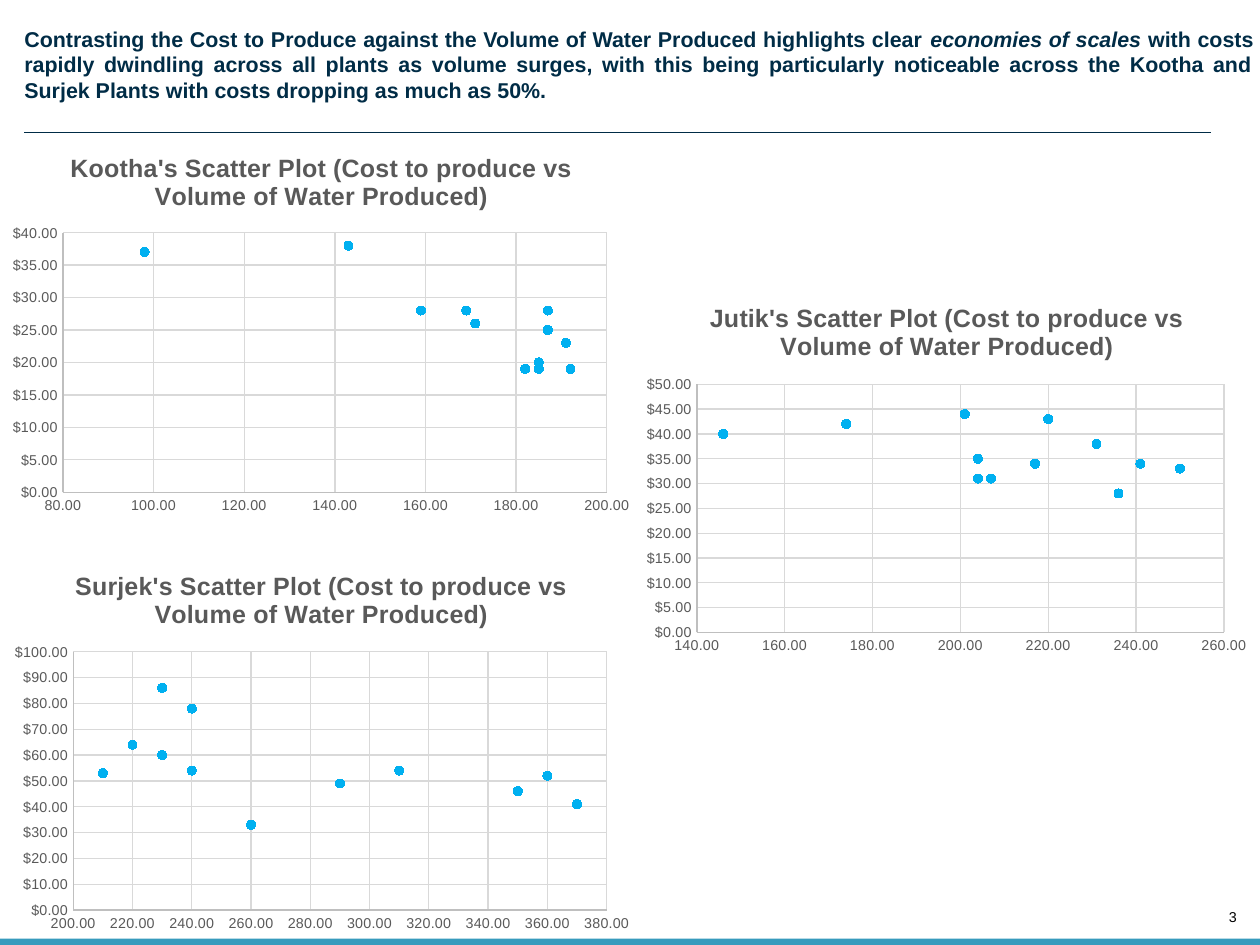
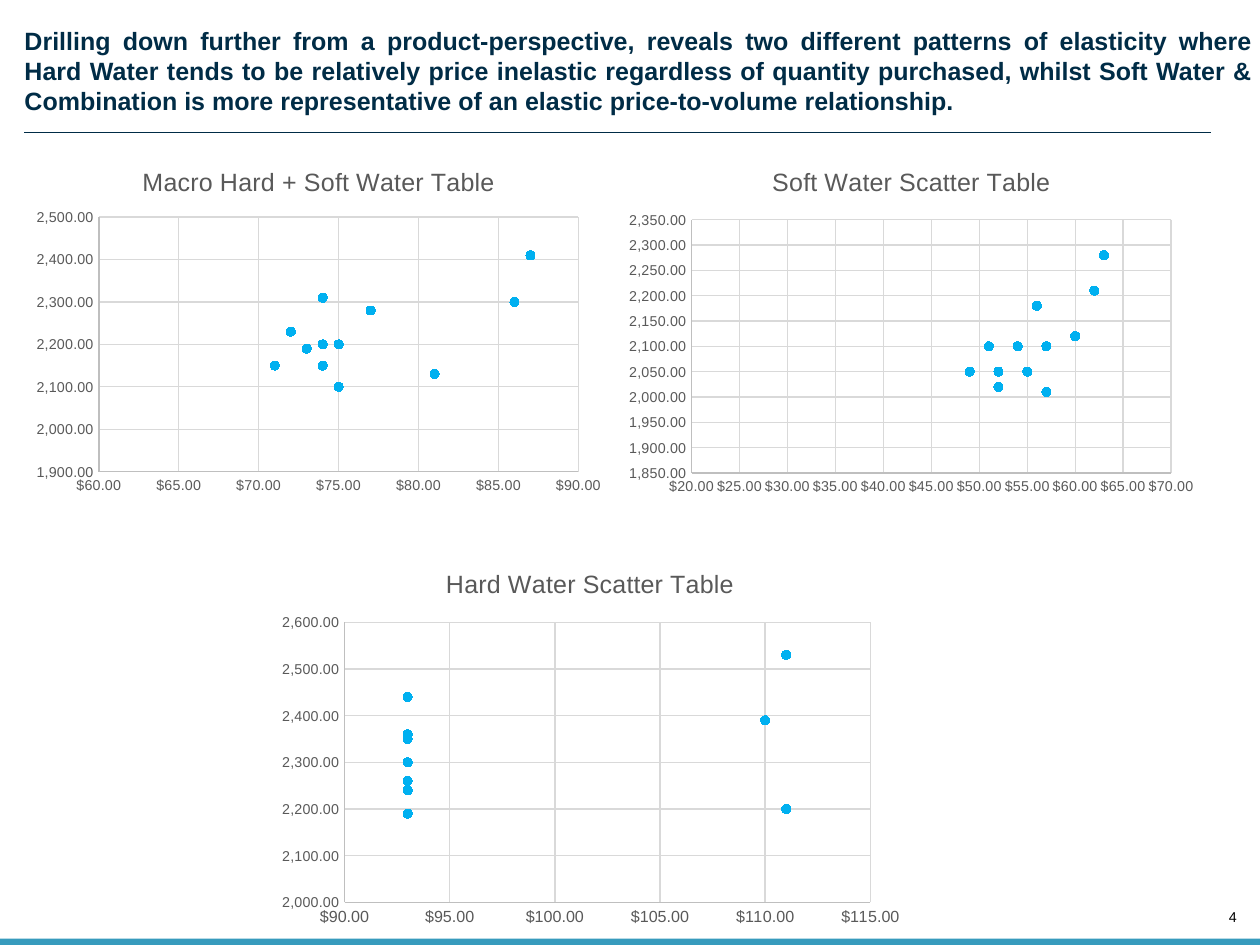
from lxml import etree
from pptx import Presentation
from pptx.chart.data import XyChartData
from pptx.dml.color import RGBColor
from pptx.enum.chart import XL_AXIS_CROSSES as Crosses, XL_CHART_TYPE as ChartType
from pptx.enum.chart import XL_MARKER_STYLE as Marker, XL_TICK_MARK as Tick
from pptx.enum.shapes import MSO_CONNECTOR as Connector, MSO_SHAPE as Shape
from pptx.enum.text import MSO_ANCHOR as Anchor, MSO_AUTO_SIZE as AutoSize, PP_ALIGN as Align
from pptx.oxml.ns import qn
from pptx.util import Inches, Pt

FONT = "Arial"
NAVY, TEAL, BLUE = "002C46", "379BBD", "00B0F0"
BLACK, GREY, AXIS, GRID = "000000", "595959", "BFBFBF", "D9D9D9"
WIDTH, HEIGHT = 9.8, 7.35
MONEY, NUMBER = "$#,##0.00", "#,##0.00"


def color(value):
    return RGBColor.from_string(value)


def set_font(font, size, fill, bold=False, italic=False):
    font.name, font.size = FONT, Pt(size)
    font.bold, font.italic = bold, italic
    font.color.rgb = color(fill)


def set_line(line, fill):
    line.color.rgb = color(fill)
    line.width = Pt(0.75)


def write(tf, runs, size, fill, align, anchor=Anchor.TOP, wrap=True, bold=False):
    tf.margin_left = tf.margin_right = tf.margin_top = tf.margin_bottom = 0
    tf.auto_size = AutoSize.NONE
    tf.word_wrap, tf.vertical_anchor = wrap, anchor
    p = tf.paragraphs[0]
    p.alignment = align
    for text, italic in runs:
        for i, part in enumerate(text.split("\n")):
            if i:
                p.add_line_break()
            r = p.add_run()
            r.text = part
            set_font(r.font, size, fill, bold, italic)


def add_header(s, runs, size, box):
    title = s.shapes.title
    title.left, title.top, title.width, title.height = map(Inches, box)
    write(title.text_frame, runs, size, NAVY, Align.JUSTIFY, bold=True)
    x, y = box[0], 1.03
    rule = s.shapes.add_connector(
        Connector.STRAIGHT, Inches(x), Inches(y), Inches(x + 9.23), Inches(y))
    set_line(rule.line, NAVY)
    etree.SubElement(rule._element.spPr, qn("a:effectLst"))


def add_footer(s, number):
    bar = s.shapes.add_shape(
        Shape.RECTANGLE, 0, Inches(HEIGHT - 0.05), Inches(WIDTH), Inches(0.05))
    bar.shadow.inherit = False
    bar.fill.solid()
    bar.fill.fore_color.rgb = color(TEAL)
    bar.line.fill.background()
    box = s.shapes.add_textbox(
        Inches(WIDTH - 0.32), Inches(HEIGHT - 0.28), Inches(0.14), Inches(0.13))
    write(box.text_frame, [(str(number), False)], 8, BLACK, Align.RIGHT, Anchor.BOTTOM, wrap=False)


def format_axis(axis, scale, number_format, size=8):
    axis.minimum_scale, axis.maximum_scale, axis.major_unit = scale
    axis.crosses = Crosses.MINIMUM
    axis.major_tick_mark = axis.minor_tick_mark = Tick.NONE
    axis.has_major_gridlines = True
    set_line(axis.major_gridlines.format.line, GRID)
    set_line(axis.format.line, AXIS)
    set_font(axis.tick_labels.font, size, GREY)
    axis.tick_labels.number_format = number_format
    axis.tick_labels.number_format_is_linked = False


def place_plot(chart, box, plot):
    area = chart._chartSpace.chart.plotArea
    for old in area.findall(qn("c:layout")):
        area.remove(old)
    layout = etree.Element(qn("c:layout"))
    area.insert(0, layout)
    manual = etree.SubElement(layout, qn("c:manualLayout"))
    x, y, w, h = box
    values = {
        "layoutTarget": "inner", "xMode": "edge", "yMode": "edge",
        "x": (plot[0] - x) / w, "y": (plot[1] - y) / h,
        "w": plot[2] / w, "h": plot[3] / h,
    }
    for name, value in values.items():
        etree.SubElement(manual, qn("c:" + name)).set("val", str(value))


def add_scatter(s, title, box, plot, x_scale, y_scale, points,
                x_format, y_format, bold=False, x_size=8):
    data = XyChartData()
    series = data.add_series(title)
    for x, y in points:
        series.add_data_point(x, y)
    chart = s.shapes.add_chart(ChartType.XY_SCATTER, *map(Inches, box), data).chart
    set_font(chart.font, 10, BLACK)
    chart.has_legend = False
    chart.has_title = True
    r = chart.chart_title.text_frame.paragraphs[0].add_run()
    r.text = title
    set_font(r.font, 14, GREY, bold)
    chart.chart_title.include_in_layout = False
    format_axis(chart.category_axis, x_scale, x_format, x_size)
    format_axis(chart.value_axis, y_scale, y_format)
    chart.plots[0].vary_by_categories = False
    ser = chart.plots[0].series[0]
    ser.smooth = False
    ser.format.line.fill.background()
    ser.marker.style, ser.marker.size = Marker.CIRCLE, 5
    ser.marker.format.fill.solid()
    ser.marker.format.fill.fore_color.rgb = color(BLUE)
    set_line(ser.marker.format.line, BLUE)
    place_plot(chart, box, plot)


def add_slide(prs, number, runs, size, height, charts, **formats):
    s = prs.slides.add_slide(prs.slide_layouts[5])
    add_footer(s, number)
    add_header(s, runs, size, (0.19, 0.2, 9.56, height))
    for chart in charts:
        add_scatter(s, **chart, **formats)


def plant_title(plant):
    return f"{plant}'s Scatter Plot (Cost to produce vs Volume of Water Produced)"


PLANT_HEADING = [
    ("Contrasting the Cost to Produce against the Volume of Water Produced highlights clear ", False),
    ("economies of scales ", True),
    ("with costs rapidly dwindling across all plants as volume surges, with this being particularly "
     "noticeable across the Kootha and Surjek Plants with costs dropping as much as 50%.", False),
]
PRODUCT_HEADING = [
    ("Drilling down further from a product-perspective, reveals two different patterns of elasticity "
     "where\nHard Water tends to be relatively price inelastic regardless of quantity purchased, whilst "
     "Soft Water & Combination is more representative of an elastic price-to-volume relationship.", False),
]
PLANTS = [
    dict(title=plant_title("Kootha"), box=(0, 1.03, 5, 3.03), plot=(0.49, 1.81, 4.23, 2.02),
         x_scale=(80, 200, 20), y_scale=(0, 40, 5),
         points=[(182, 19), (187, 25), (185, 20), (192, 19), (98, 37), (185, 19),
                 (187, 28), (159, 28), (191, 23), (171, 26), (169, 28), (143, 38)]),
    dict(title=plant_title("Surjek"), box=(0.01, 4.28, 4.98, 3.03), plot=(0.57, 5.07, 4.15, 2.01),
         x_scale=(200, 380, 20), y_scale=(0, 100, 10),
         points=[(210, 53), (230, 60), (220, 64), (240, 78), (230, 86), (240, 54),
                 (290, 49), (310, 54), (370, 41), (350, 46), (360, 52), (260, 33)]),
    dict(title=plant_title("Jutik"), box=(4.93, 2.2, 4.87, 2.95), plot=(5.42, 2.99, 4.1, 1.93),
         x_scale=(140, 260, 20), y_scale=(0, 50, 5),
         points=[(250, 33), (207, 31), (201, 44), (174, 42), (204, 31), (146, 40),
                 (204, 35), (217, 34), (231, 38), (236, 28), (241, 34), (220, 43)]),
]
PRODUCTS = [
    dict(title="Macro Hard + Soft Water Table", box=(0.19, 1.15, 4.58, 2.75),
         plot=(0.77, 1.69, 3.73, 1.98), x_scale=(60, 90, 5), y_scale=(1900, 2500, 100),
         points=[(86, 2300), (87, 2410), (81, 2130), (73, 2190), (71, 2150), (72, 2230),
                 (77, 2280), (75, 2200), (74, 2150), (75, 2100), (74, 2200), (74, 2310)]),
    dict(title="Hard Water Scatter Table", box=(2.09, 4.27, 5, 3),
         plot=(2.68, 4.84, 4.09, 2.18), x_scale=(90, 115, 5), y_scale=(2000, 2600, 100), x_size=9,
         points=[(110, 2390), (111, 2530), (111, 2200), (93, 2350), (93, 2240), (93, 2360),
                 (93, 2440), (93, 2300), (93, 2260), (93, 2190), (93, 2300), (93, 2440)]),
    dict(title="Soft Water Scatter Table", box=(4.8, 1.15, 4.58, 2.75),
         plot=(5.38, 1.71, 3.73, 1.97), x_scale=(20, 70, 5), y_scale=(1850, 2350, 50),
         points=[(62, 2210), (63, 2280), (52, 2050), (52, 2020), (49, 2050), (51, 2100),
                 (60, 2120), (57, 2100), (55, 2050), (57, 2010), (54, 2100), (56, 2180)]),
]

prs = Presentation()
prs.slide_width, prs.slide_height = Inches(WIDTH), Inches(HEIGHT)
add_slide(prs, 3, PLANT_HEADING, 12, 0.61, PLANTS, x_format=NUMBER, y_format=MONEY, bold=True)
add_slide(prs, 4, PRODUCT_HEADING, 14, 0.71, PRODUCTS, x_format=MONEY, y_format=NUMBER)
prs.save("out.pptx")
